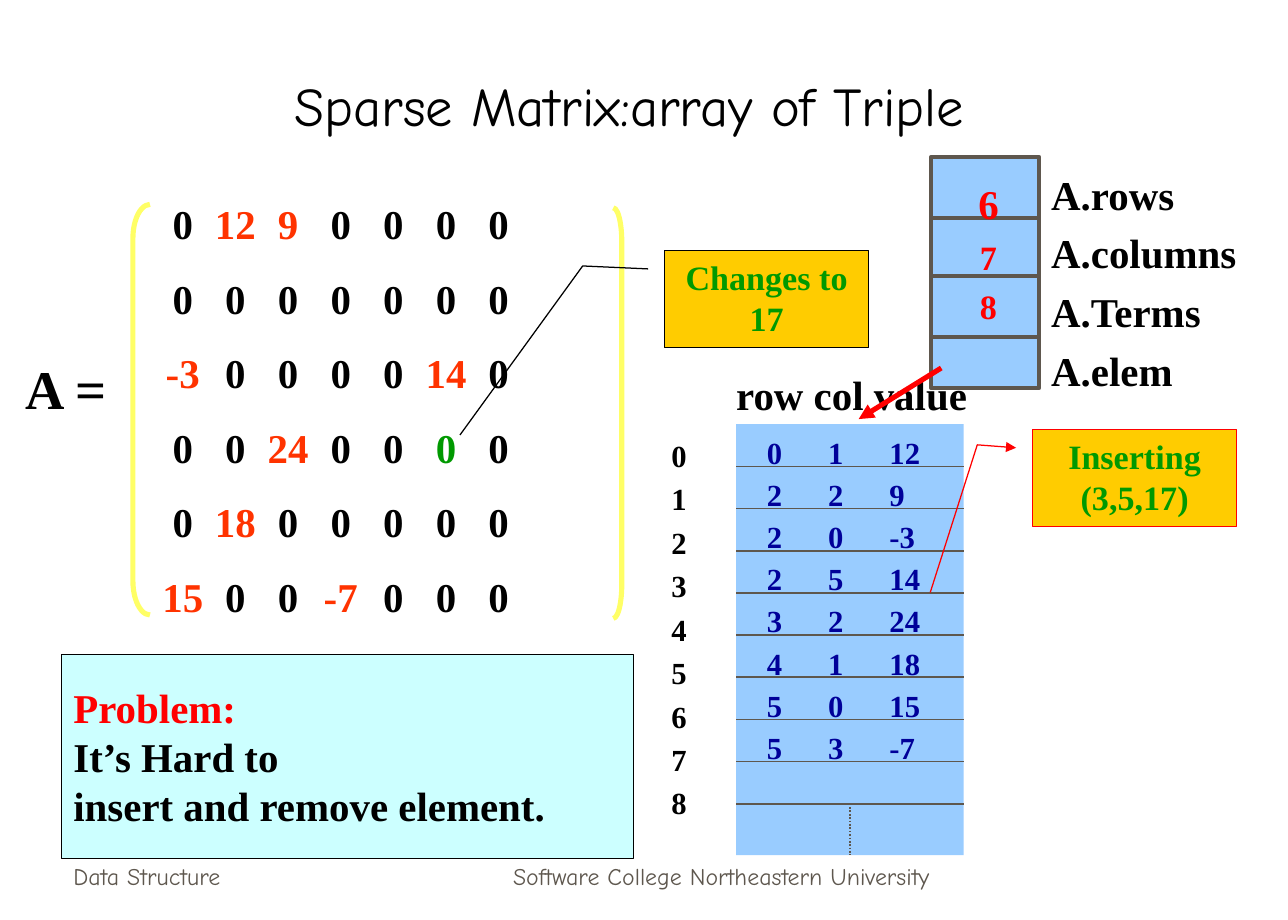
from pptx import Presentation
from pptx.dml.color import RGBColor
from pptx.enum import dml, shapes, text
from pptx.oxml.ns import qn
from pptx.util import Pt
from lxml import etree

BLACK = RGBColor(0x00, 0x00, 0x00)
GRAY = RGBColor(0x5E, 0x57, 0x4E)
RED = RGBColor(0xFF, 0x00, 0x00)
ORANGE = RGBColor(0xFF, 0x33, 0x00)
GREEN = RGBColor(0x00, 0x99, 0x00)
NAVY = RGBColor(0x00, 0x00, 0x99)
BLUE = RGBColor(0x99, 0xCC, 0xFF)
CYAN = RGBColor(0xCC, 0xFF, 0xFF)
GOLD = RGBColor(0xFF, 0xCC, 0x00)
YELLOW = RGBColor(0xFF, 0xFF, 0x66)

SERIF, COMIC = "Times New Roman", "Comic Neue"
LEFT, CENTER = text.PP_ALIGN.LEFT, text.PP_ALIGN.CENTER
SHAPE = shapes.MSO_SHAPE

MATRIX = [
    [0, 12, 9, 0, 0, 0, 0],
    [0, 0, 0, 0, 0, 0, 0],
    [-3, 0, 0, 0, 0, 14, 0],
    [0, 0, 24, 0, 0, 0, 0],
    [0, 18, 0, 0, 0, 0, 0],
    [15, 0, 0, -7, 0, 0, 0],
]
CHANGED_CELL = (3, 5)
TRIPLES = [(0, 1, 12), (2, 2, 9), (2, 0, -3), (2, 5, 14),
           (3, 2, 24), (4, 1, 18), (5, 0, 15), (5, 3, -7)]


def style(font, size, color, name=SERIF, bold=True):
    font.name, font.size, font.bold = name, Pt(size), bold
    font.color.rgb = color


def add_tabs(p, stops, align):
    tabs = etree.SubElement(p._p.get_or_add_pPr(), qn("a:tabLst"))
    for stop in stops:
        etree.SubElement(tabs, qn("a:tab"), pos=str(Pt(stop)), algn=align)


def write(tf, lines, size, color, align=LEFT, spacing=None, name=SERIF, bold=True):
    tf.text = "\n".join(lines)
    for p in tf.paragraphs:
        p.alignment = align
        if spacing:
            p.line_spacing = spacing
        for r in p.runs:
            style(r.font, size, color, name, bold)


def add_textbox(s, x, y, w, h):
    tf = s.shapes.add_textbox(Pt(x), Pt(y), Pt(w), Pt(h)).text_frame
    tf.word_wrap = True
    return tf


def add_box(s, kind, x, y, w, h, fill=None, line=None, weight=0.75):
    sp = s.shapes.add_shape(kind, Pt(x), Pt(y), Pt(w), Pt(h))
    sp.shadow.inherit = False
    if fill is None:
        sp.fill.background()
    else:
        sp.fill.solid()
        sp.fill.fore_color.rgb = fill
    if line is None:
        sp.line.fill.background()
    else:
        sp.line.color.rgb = line
        sp.line.width = Pt(weight)
    return sp


def add_line(s, x1, y1, x2, y2, color, weight):
    ln = s.shapes.add_connector(shapes.MSO_CONNECTOR.STRAIGHT,
                                Pt(x1), Pt(y1), Pt(x2), Pt(y2))
    ln.line.color.rgb = color
    ln.line.width = Pt(weight)
    etree.SubElement(ln._element.spPr, qn("a:effectLst"))
    return ln


def add_arrowhead(sp, end):
    etree.SubElement(sp.line._get_or_add_ln(), qn("a:" + end), type="triangle")


def add_title(s, x, y, w, h):
    sp = s.shapes.title
    sp.left, sp.top, sp.width, sp.height = Pt(x), Pt(y), Pt(w), Pt(h)
    sp.text_frame.vertical_anchor = text.MSO_ANCHOR.BOTTOM
    write(sp.text_frame, ["Sparse Matrix:array of Triple"], 32, BLACK, CENTER,
          name=COMIC, bold=False)


def add_footer(s, x, y, w, h, words, align):
    tf = add_textbox(s, x, y, w, h)
    tf.vertical_anchor = text.MSO_ANCHOR.BOTTOM
    write(tf, [words], 14, GRAY, align, name=COMIC, bold=False)


def add_matrix(s, x, y, w, h):
    """Bracketed matrix, its name standing to the left of the box."""
    write(add_textbox(s, x - 70, y + 85, 106, 53), ["A ="], 32, BLACK)
    tf = add_textbox(s, x + 10, y - 7, w + 55, h + 19)
    stops = [12.2 + 30.9 * i for i in range(7)]
    for i, row in enumerate(MATRIX):
        p = tf.add_paragraph() if i else tf.paragraphs[0]
        add_tabs(p, stops, "ctr")
        if i:
            p.space_before = Pt(15)
        for j, value in enumerate(row):
            r = p.add_run()
            r.text = f"\t{value}"
            color = GREEN if (i, j) == CHANGED_CELL else ORANGE if value else BLACK
            style(r.font, 24, color)
    for kind, left, top, width in ((SHAPE.LEFT_BRACKET, x, y, 10),
                                   (SHAPE.RIGHT_BRACKET, x + w - 5, y + 2, 5)):
        sp = add_box(s, kind, left, top, width, h, line=YELLOW, weight=3)
        sp.adjustments[0] = 20 / width


def add_triples(s, x, y, w, h):
    """Array of triples with its heading above and its indices to the left."""
    pitch = 24.75
    write(add_textbox(s, x - 7, y - 35.3, 176, 36), ["row col value"], 24, BLACK)
    add_box(s, SHAPE.RECTANGLE, x, y, w, h, BLUE)
    for i in range(1, 10):
        add_line(s, x, y + pitch * i, x + w, y + pitch * i, GRAY, 1)
    dots = add_line(s, x + w / 2, y + pitch * 9, x + w / 2, y + h, GRAY, 1)
    dots.line.dash_style = dml.MSO_LINE.ROUND_DOT
    write(add_textbox(s, x - 54.7, y, 42.5, 284), [str(i) for i in range(9)],
          18, BLACK, CENTER, 1.18)
    for i, triple in enumerate(TRIPLES):
        tf = add_textbox(s, x + 11, y + 2 + pitch * i, w, 29)
        add_tabs(tf.paragraphs[0], (22.5, 45), "l")
        write(tf, ["\t".join(map(str, triple))], 18, NAVY)


def add_record(s, x, y, w, h):
    """Fields of A with their labels and the pointer to the array."""
    write(add_textbox(s, x + w, y - 2, 145, 145),
          ["A.rows", "A.columns", "A.Terms", "A.elem"], 24, BLACK, spacing=1.2)
    add_box(s, SHAPE.RECTANGLE, x, y, w, h, BLUE, GRAY, 2.25)
    for dy in (36, 70, 106):
        add_line(s, x, y + dy, x + w, y + dy, GRAY, 2.25)
    tf = add_textbox(s, x - 0.5, y + 3.6, w + 5, 128)
    write(tf, ["6", "7", "8"], 20, RED, CENTER, 1.2)
    tf.paragraphs[0].runs[0].font.size = Pt(24)
    add_arrowhead(add_line(s, x + 6, y + 124, x - 42.5, y + 154, RED, 3), "tailEnd")


def add_problem(s, x, y, w, h):
    sp = add_box(s, SHAPE.RECTANGLE, x, y, w, h, CYAN, BLACK)
    tf = sp.text_frame
    tf.word_wrap = False
    tf.vertical_anchor = text.MSO_ANCHOR.MIDDLE
    write(tf, ["Problem:", "It’s Hard to", "insert and remove element."], 24, BLACK)
    tf.paragraphs[0].runs[0].font.color.rgb = RED


def add_callout(s, x, y, w, h, lines, line, elbow, target):
    """Callout whose elbow and target are (y, x) fractions of the box."""
    sp = add_box(s, SHAPE.LINE_CALLOUT_2, x, y, w, h, GOLD, line)
    for i, value in enumerate((0.19, -0.08, *elbow, *target)):
        sp.adjustments[i] = value
    sp.text_frame.word_wrap = True
    sp.text_frame.vertical_anchor = text.MSO_ANCHOR.TOP
    write(sp.text_frame, lines, 20, GREEN, CENTER)
    return sp


def main():
    prs = Presentation()
    prs.slide_width, prs.slide_height = Pt(756), Pt(540)
    s = prs.slides.add_slide(prs.slide_layouts[5])
    add_footer(s, 36, 490, 158, 36, "Data Structure", LEFT)
    add_footer(s, 258.5, 490, 330, 36, "Software College Northeastern University", CENTER)
    add_matrix(s, 78, 120, 287, 241)
    add_triples(s, 432, 249, 133.6, 253)
    add_title(s, 48, 24, 643, 60)
    add_record(s, 546.5, 92, 63.4, 136)
    add_problem(s, 36, 384, 336, 120)
    add_callout(s, 390, 147, 120, 57, ["Changes to 17"], BLACK,
                (0.16, -0.4), (1.9, -1))
    inserting = add_callout(s, 606, 252, 120, 57, ["Inserting", "(3,5,17)"], RED,
                            (0.16, -0.27), (1.68, -0.5))
    add_arrowhead(inserting, "headEnd")
    prs.save("out.pptx")


if __name__ == "__main__":
    main()
